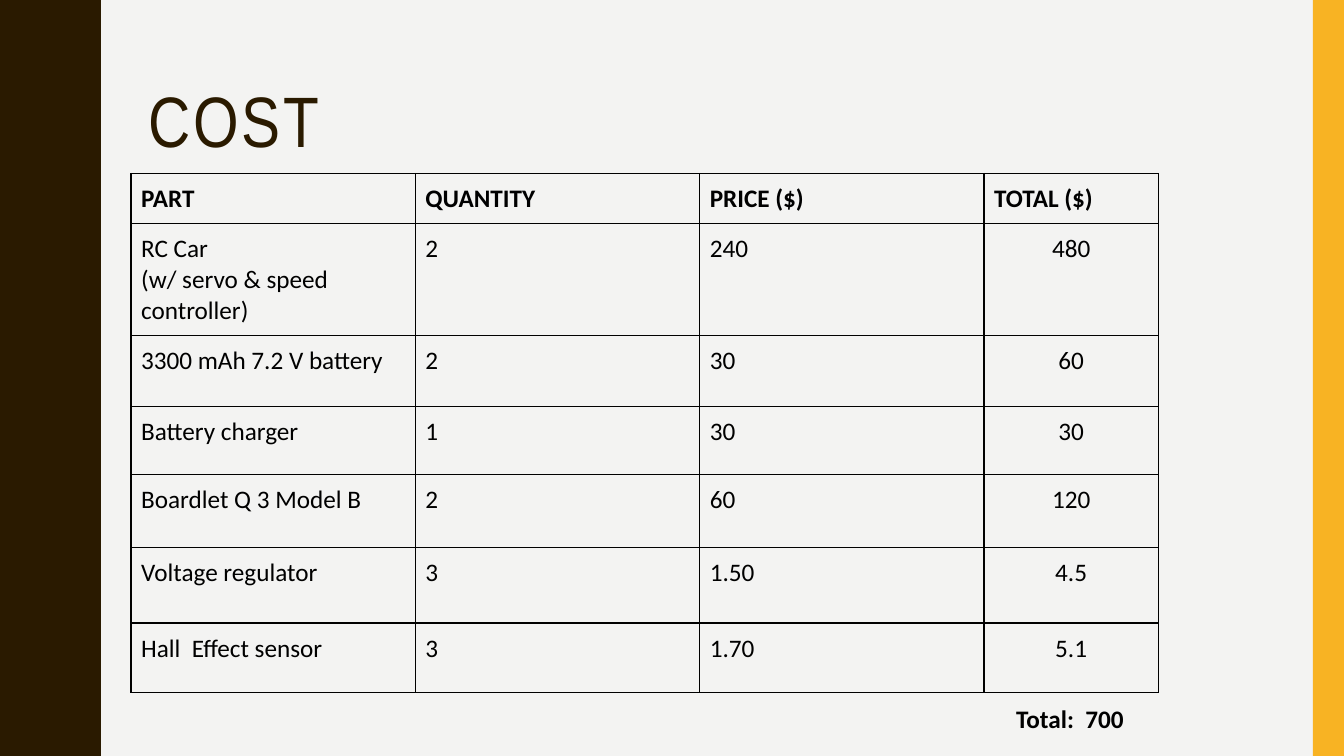
from lxml.etree import SubElement
from pptx import Presentation
from pptx.dml.color import RGBColor
from pptx.enum.shapes import MSO_SHAPE
from pptx.enum.text import MSO_ANCHOR, PP_ALIGN
from pptx.oxml.ns import qn
from pptx.util import Inches, Pt

BACKGROUND = RGBColor(0xF3, 0xF3, 0xF2)
BROWN = RGBColor(0x2A, 0x1A, 0x00)
AMBER = RGBColor(0xF8, 0xB3, 0x23)
BLACK = RGBColor(0x00, 0x00, 0x00)

WIDTH, HEIGHT = 13.33, 7.5
HALF_WAVE = 0.75
WAVE_LEFT, WAVE_RIGHT = 0.78, 0.97
WAVE_POINTS = [
    (0.78, 0), (0.78, 0.07), (0.79, 0.14), (0.8, 0.2), (0.81, 0.25),
    (0.83, 0.29), (0.85, 0.33), (0.87, 0.38), (0.89, 0.42), (0.91, 0.46),
    (0.93, 0.5), (0.95, 0.55), (0.96, 0.61), (0.97, 0.68),
]

COLUMN_WIDTHS = [2.82, 2.82, 2.82, 1.73]
ROW_HEIGHTS = [0.5, 1.11, 0.7, 0.68, 0.72, 0.75, 0.69]
COSTS = [
    ("PART", "QUANTITY", "PRICE ($)", "TOTAL ($)"),
    ("RC Car\n(w/ servo & speed controller)", "2", "240", "480"),
    ("3300 mAh 7.2 V battery", "2", "30", "60"),
    ("Battery charger", "1", "30", "30"),
    ("Boardlet Q 3 Model B", "2", "60", "120"),
    ("Voltage regulator", "3", "1.50", "4.5"),
    ("Hall  Effect sensor", "3", "1.70", "5.1"),
]


class CostSlide:
    heading_font = "Arial Narrow"
    body_font = "Calibri"
    body_size = 18

    def __init__(self, presentation):
        self.slide = presentation.slides.add_slide(presentation.slide_layouts[6])
        self.slide.background.fill.solid()
        self.slide.background.fill.fore_color.rgb = BACKGROUND

    def paint(self, shape, color):
        shape.shadow.inherit = False
        shape.fill.solid()
        shape.fill.fore_color.rgb = color
        shape.line.fill.background()

    def bar(self, left, top, width, height, color):
        bar = self.slide.shapes.add_shape(
            MSO_SHAPE.RECTANGLE, Inches(left), Inches(top), Inches(width), Inches(height))
        self.paint(bar, color)

    def wave(self, color):
        edge = []
        for half in range(round(HEIGHT / HALF_WAVE)):
            for x, y in WAVE_POINTS:
                mirrored = WAVE_LEFT + WAVE_RIGHT - x
                edge.append((mirrored if half % 2 else x, half * HALF_WAVE + y))
        edge += [(WAVE_LEFT, HEIGHT), (0, HEIGHT)]
        builder = self.slide.shapes.build_freeform(0, 0, scale=Inches(1))
        builder.add_line_segments(edge, close=True)
        self.paint(builder.convert_to_shape(), color)

    def set_text(self, frame, text, font, size, color, bold=False, align=PP_ALIGN.LEFT):
        frame.text = text
        for paragraph in frame.paragraphs:
            paragraph.alignment = align
            paragraph.font.name = font
            paragraph.font.size = Pt(size)
            paragraph.font.bold = bold
            paragraph.font.color.rgb = color

    def text_box(self, left, top, width, height, margin):
        frame = self.slide.shapes.add_textbox(
            Inches(left), Inches(top), Inches(width), Inches(height)).text_frame
        frame.word_wrap = True
        frame.margin_left = frame.margin_right = Inches(0.1)
        frame.margin_top = frame.margin_bottom = Inches(margin)
        return frame

    def title(self, text, left, top, width, height):
        frame = self.text_box(left, top, width, height, 0.05)
        frame.vertical_anchor = MSO_ANCHOR.MIDDLE
        self.set_text(frame, text, self.heading_font, 51, BROWN)
        heading = frame.paragraphs[0]
        heading.line_spacing = 0.9
        heading.runs[0].font._element.set("spc", "200")

    def note(self, text, left, top, width, height):
        frame = self.text_box(left, top, width, height, 0.1)
        self.set_text(frame, text, self.body_font, self.body_size, BLACK, bold=True)

    def border(self, cell):
        properties = cell._tc.get_or_add_tcPr()
        for side in ("a:lnL", "a:lnR", "a:lnT", "a:lnB"):
            line = SubElement(properties, qn(side), w=str(Pt(1)))
            fill = SubElement(line, qn("a:solidFill"))
            SubElement(fill, qn("a:srgbClr"), val=str(BLACK))

    def table(self, rows, left, top):
        table = self.slide.shapes.add_table(
            len(rows), len(COLUMN_WIDTHS), Inches(left), Inches(top),
            Inches(sum(COLUMN_WIDTHS)), Inches(sum(ROW_HEIGHTS))).table
        table.first_row = table.horz_banding = False
        for column, width in zip(table.columns, COLUMN_WIDTHS):
            column.width = Inches(width)
        for row, height in zip(table.rows, ROW_HEIGHTS):
            row.height = Inches(height)
        for r, values in enumerate(rows):
            for c, value in enumerate(values):
                cell = table.cell(r, c)
                cell.margin_left = cell.margin_right = Inches(0.1)
                cell.margin_top = cell.margin_bottom = Inches(0.1)
                self.border(cell)
                cell.fill.background()
                is_total = r > 0 and c == len(values) - 1
                self.set_text(cell.text_frame, value, self.body_font, self.body_size, BLACK,
                              bold=r == 0,
                              align=PP_ALIGN.CENTER if is_total else PP_ALIGN.LEFT)


def main():
    presentation = Presentation()
    presentation.slide_width = Inches(WIDTH)
    presentation.slide_height = Inches(HEIGHT)
    cost = CostSlide(presentation)
    cost.wave(BROWN)
    cost.bar(13.02, 0, 0.31, HEIGHT, AMBER)
    cost.title("COST", 1.37, 0.42, 11.13, 1.63)
    cost.table(COSTS, 1.3, 1.72)
    cost.note("Total:  700", 9.98, 6.88, 2.82, 0.41)
    presentation.save("out.pptx")


if __name__ == "__main__":
    main()
